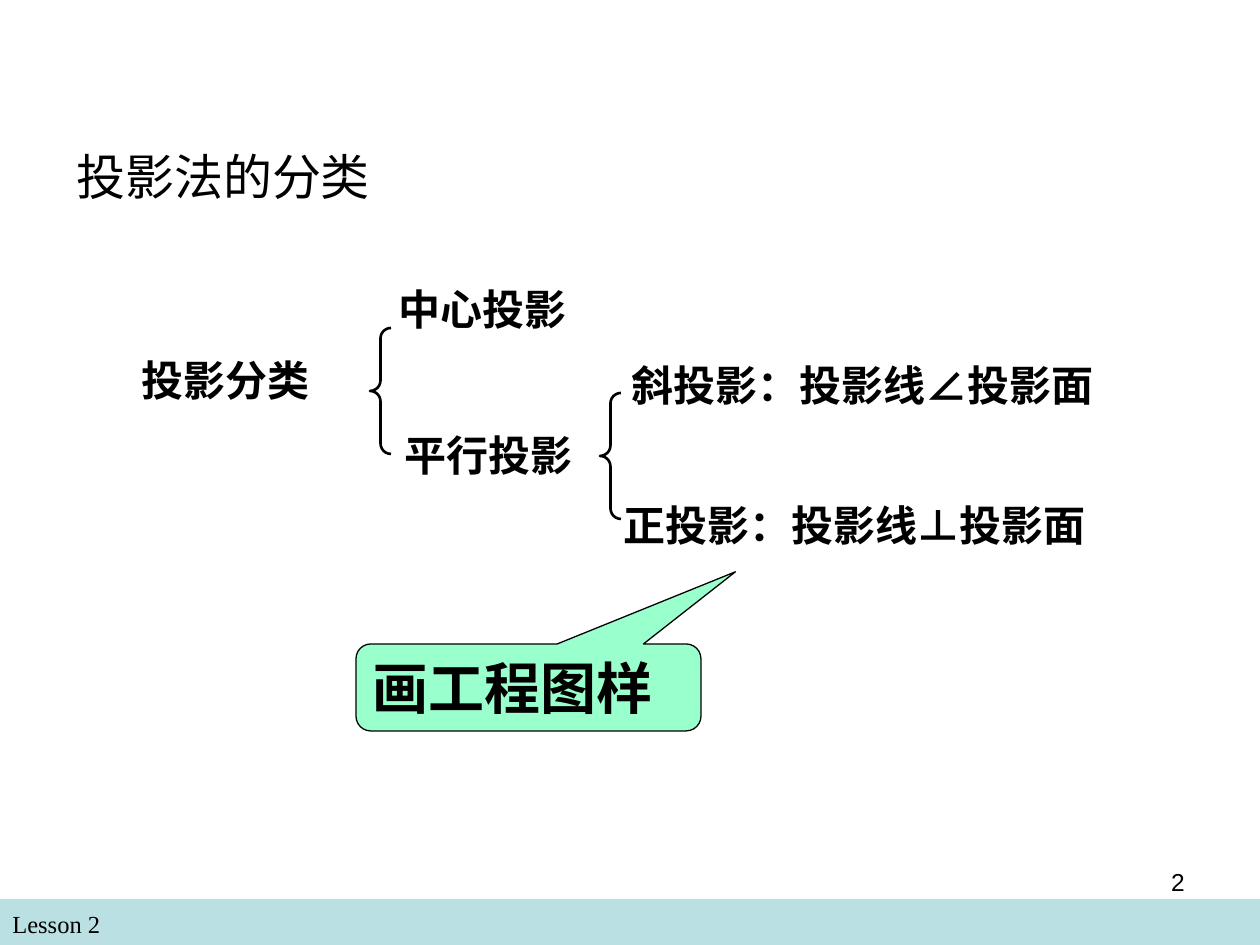
from lxml.etree import SubElement
from pptx import Presentation
from pptx.dml.color import RGBColor
from pptx.enum.shapes import MSO_SHAPE as Shape
from pptx.enum.text import MSO_ANCHOR as Anchor, PP_ALIGN as Align
from pptx.oxml.ns import qn
from pptx.util import Emu, Pt

PX = 914400 // 126
SIZE = (1260, 945)
BLACK, BAND, MINT = "000000", "BBE0E3", "99FFCC"
ARIAL, TIMES, CJK = "Arial", "Times New Roman", "Noto Sans CJK SC"

TITLE = dict(size=28, name=ARIAL, bold=False)
TERM = dict(size=24, name=TIMES, bold=True)
CALLOUT = dict(size=32, name=TIMES, bold=True)
FOOTER = dict(size=14, name=TIMES, bold=False)
NUMBER = dict(size=14, name=ARIAL, bold=False)

# Box (left, top, width, height), runs of (words, font), format, anchor, alignment
TEXTS = [
    ((0, 903, 609, 43), [("Lesson 2", TIMES)], FOOTER, Anchor.TOP, Align.LEFT),
    ((64, 97, 1134, 158), [("投影法的分类", ARIAL)], TITLE, Anchor.MIDDLE, Align.LEFT),
    ((129, 348, 271, 63), [("投影分类", TIMES)], TERM, Anchor.TOP, Align.LEFT),
    ((386, 277, 333, 63), [("中心投影", TIMES)], TERM, Anchor.TOP, Align.LEFT),
    ((392, 423, 224, 63), [("平行投影", TIMES)], TERM, Anchor.TOP, Align.LEFT),
    ((611, 493, 510, 63), [("正投影：投影线", TIMES), ("⊥投影面", CJK)],
     TERM, Anchor.MIDDLE, Align.LEFT),
    ((619, 353, 491, 63), [("斜投影：投影线", TIMES), ("∠投影面", CJK)],
     TERM, Anchor.MIDDLE, Align.LEFT),
    ((903, 861, 294, 66), [("2", ARIAL)], NUMBER, Anchor.TOP, Align.RIGHT),
]
BRACES = [(370, 328), (600, 393)]
BRACE_SIZE = (21, 126)


def rgb(value):
    return RGBColor.from_string(value)


def px(*values):
    return [Emu(v * PX) for v in values]


def add_text(sp, runs, style, anchor, align):
    tf = sp.text_frame
    tf.word_wrap = True
    tf.vertical_anchor = anchor
    p = tf.paragraphs[0]
    p.alignment = align
    for words, face in runs:
        r = p.add_run()
        r.text = words
        for key, value in {**style, "size": Pt(style["size"]), "name": face}.items():
            setattr(r.font, key, value)
        r.font.color.rgb = rgb(BLACK)
        SubElement(r.font._element, qn("a:ea"), typeface=CJK)


def add_shape(slide, kind, box, fill=None, line_width=None, adjustments=()):
    sp = slide.shapes.add_shape(kind, *px(*box))
    sp.shadow.inherit = False
    for i, value in enumerate(adjustments):
        sp.adjustments[i] = value
    if fill:
        sp.fill.solid()
        sp.fill.fore_color.rgb = rgb(fill)
    else:
        sp.fill.background()
    if line_width:
        sp.line.color.rgb = rgb(BLACK)
        sp.line.width = Pt(line_width)
    else:
        sp.line.fill.background()
    return sp


def main():
    prs = Presentation()
    prs.slide_width, prs.slide_height = px(*SIZE)
    slide = prs.slides.add_slide(prs.slide_layouts[6])

    add_shape(slide, Shape.RECTANGLE, (0, 899, 1260, 46), BAND)
    for box, *content in TEXTS:
        add_text(slide.shapes.add_textbox(*px(*box)), *content)

    callout = add_shape(slide, Shape.ROUNDED_RECTANGULAR_CALLOUT, (356, 644, 345, 87),
                        MINT, 0.75, (0.6, -1.33, 0.17))
    add_text(callout, [("画工程图样", TIMES)], CALLOUT, Anchor.MIDDLE, Align.LEFT)

    for corner in BRACES:
        add_shape(slide, Shape.LEFT_BRACE, corner + BRACE_SIZE,
                  line_width=1.5, adjustments=(0.5, 0.5))

    prs.save("out.pptx")


if __name__ == "__main__":
    main()
